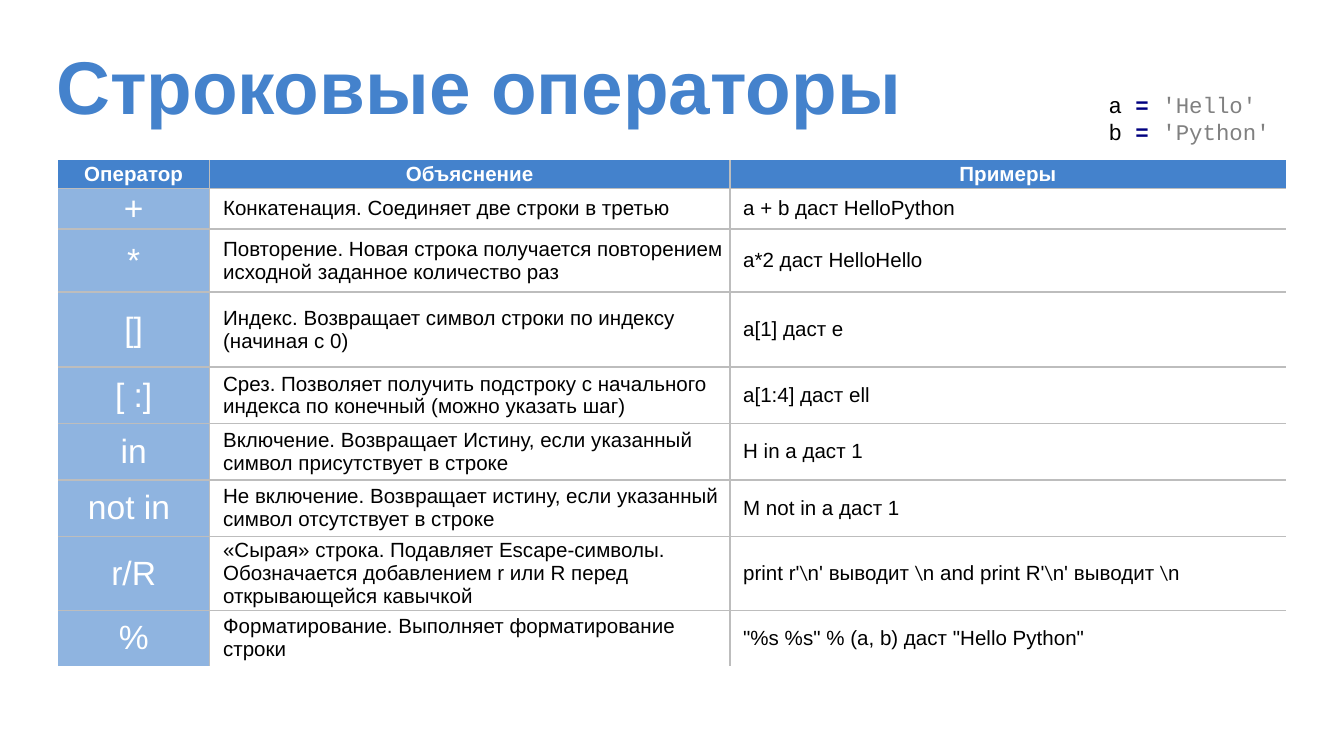
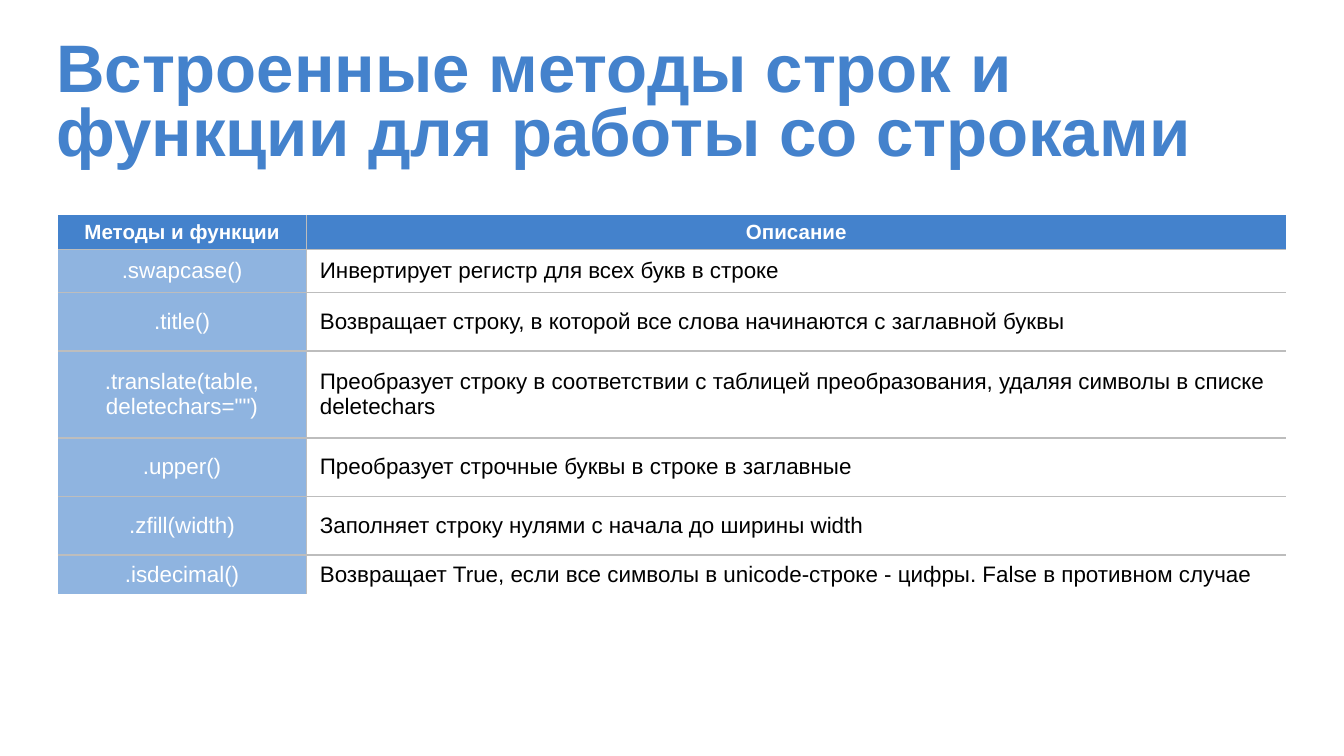
from lxml import etree
from pptx import Presentation
from pptx.dml.color import RGBColor
from pptx.enum.text import MSO_ANCHOR, MSO_AUTO_SIZE, PP_ALIGN
from pptx.oxml.ns import qn
from pptx.util import Inches, Pt

MIDDLE, TOP = MSO_ANCHOR.MIDDLE, MSO_ANCHOR.TOP
CENTER, LEFT = PP_ALIGN.CENTER, PP_ALIGN.LEFT
FIT_SHAPE = MSO_AUTO_SIZE.SHAPE_TO_FIT_TEXT

SLIDE_WIDTH = Inches(10)
SLIDE_HEIGHT = SLIDE_WIDTH * 9 // 16
BLUE, PALE_BLUE, WHITE, BLACK = "4482CC", "8FB4E0", "FFFFFF", "000000"
GRID_GRAY, NAVY, CODE_GRAY = "BDBDBD", "000080", "808080"
BODY_FONT, CODE_FONT, BACKSLASH_FONT = "Arial", "Courier New", "Calibri"
TEXT_INDENT = Inches(0.09)

OPERATORS = [
    ("Оператор", "Объяснение", "Примеры"),
    ("+", "Конкатенация. Соединяет две строки в третью", "a + b даст HelloPython"),
    ("*", "Повторение. Новая строка получается повторением исходной заданное количество раз",
     "a*2 даст HelloHello"),
    ("[]", "Индекс. Возвращает символ строки по индексу (начиная с 0)", "a[1] даст e"),
    ("[ :]", "Срез. Позволяет получить подстроку с начального индекса по конечный (можно указать шаг)",
     "a[1:4] даст ell"),
    ("in", "Включение. Возвращает Истину, если указанный символ присутствует в строке",
     "H in a даст 1"),
    ("not in ", "Не включение. Возвращает истину, если указанный символ отсутствует в строке",
     "M not in a даст 1"),
    ("r/R", "«Сырая» строка. Подавляет Escape-символы. Обозначается добавлением r или R перед "
     "открывающейся кавычкой", r"print r'\n' выводит \n and print R'\n' выводит \n"),
    ("%", "Форматирование. Выполняет форматирование строки",
     '"%s %s" % (a, b) даст "Hello Python"'),
]

METHODS = [
    ("Методы и функции", "Описание"),
    (".swapcase()", "Инвертирует регистр для всех букв в строке"),
    (".title()", "Возвращает строку, в которой все слова начинаются с заглавной буквы"),
    ('.translate(table, deletechars="")',
     "Преобразует строку в соответствии с таблицей преобразования, удаляя символы в списке deletechars"),
    (".upper()", "Преобразует строчные буквы в строке в заглавные"),
    (".zfill(width)", "Заполняет строку нулями с начала до ширины width"),
    (".isdecimal()",
     "Возвращает True, если все символы в unicode-строке - цифры. False в противном случае"),
]


def rgb(hex_color):
    return RGBColor.from_string(hex_color)


def percent_box(left, top, width, height):
    return (int(SLIDE_WIDTH * left / 100), int(SLIDE_HEIGHT * top / 100),
            int(SLIDE_WIDTH * width / 100), int(SLIDE_HEIGHT * height / 100))


def write_text(frame, lines, align=LEFT, spacing=None, indent=0, **style):
    for number, line in enumerate(lines):
        paragraph = frame.add_paragraph() if number else frame.paragraphs[0]
        paragraph.alignment = align
        if spacing:
            paragraph.line_spacing = spacing
        if indent:
            paragraph._p.get_or_add_pPr().set("marL", str(indent))
        for text, changes in line:
            look = {"font": BODY_FONT, "bold": False, **style, **changes}
            run = paragraph.add_run()
            run.text = text
            run.font.name = look["font"]
            run.font.size = Pt(look["size"])
            run.font.bold = look["bold"]
            run.font.color.rgb = rgb(look["color"])


def split_backslashes(text):
    parts = text.replace("\\", "|\\|").split("|")
    return [(part, {"font": BACKSLASH_FONT} if part == "\\" else {}) for part in parts]


def add_title(slide, box, text, size, anchor=MIDDLE, bottom_inset=0.1, spacing=None):
    frame = slide.shapes.add_textbox(*box).text_frame
    frame.word_wrap = True
    frame.vertical_anchor = anchor
    frame.margin_left = frame.margin_right = frame.margin_top = Inches(0.1)
    frame.margin_bottom = Inches(bottom_inset)
    write_text(frame, [[(text, {})]], size=size, color=BLUE, bold=True, spacing=spacing)


def add_code(slide, box, assignments):
    frame = slide.shapes.add_textbox(*box).text_frame
    frame.word_wrap = False
    frame.auto_size = FIT_SHAPE
    lines = [[(f"{name} ", {}), ("= ", {"color": NAVY, "bold": True}),
              (value, {"color": CODE_GRAY})] for name, value in assignments]
    write_text(frame, lines, font=CODE_FONT, size=12, color=BLACK)


def set_borders(cell, visible_sides):
    properties = cell._tc.get_or_add_tcPr()
    for side in "LRTB":
        line = etree.SubElement(properties, qn(f"a:ln{side}"), w=str(Pt(1)))
        if side in visible_sides:
            fill = etree.SubElement(line, qn("a:solidFill"))
            etree.SubElement(fill, qn("a:srgbClr"), val=GRID_GRAY)
        else:
            etree.SubElement(line, qn("a:noFill"))


def fill_cell(cell, text, side_inset, edge_inset, fill, **style):
    cell.margin_left = cell.margin_right = Inches(side_inset)
    cell.margin_top = cell.margin_bottom = Inches(edge_inset)
    cell.vertical_anchor = MIDDLE
    cell.fill.solid()
    cell.fill.fore_color.rgb = rgb(fill)
    write_text(cell.text_frame, [split_backslashes(text)], **style)


def add_reference(slide, box, rows, column_shares, row_shares, key_size, text_size, edge_inset=0):
    width, height = box[2:]
    last_row, last_column = len(rows) - 1, len(column_shares) - 1
    table = slide.shapes.add_table(len(rows), len(column_shares), *box).table
    table.horz_banding = False
    for column, share in zip(table.columns, column_shares):
        column.width = int(width * share / sum(column_shares))
    for row, share in zip(table.rows, row_shares):
        row.height = int(height * share / sum(row_shares))

    for r, texts in enumerate(rows):
        for c, text in enumerate(texts):
            cell = table.cell(r, c)
            inner = {"L": c > 0, "R": c < last_column, "T": r > 0, "B": r < last_row}
            set_borders(cell, [side for side, shown in inner.items() if shown])
            if r == 0:
                fill_cell(cell, text, 0.07, 0, BLUE, align=CENTER, size=11,
                          color=WHITE, bold=True)
            elif c == 0:
                fill_cell(cell, text, 0.01, edge_inset, PALE_BLUE, align=CENTER,
                          size=key_size, color=WHITE)
            else:
                fill_cell(cell, text, 0.01, edge_inset, WHITE, indent=TEXT_INDENT,
                          size=text_size, color=BLACK)


def build_operators(slide):
    add_title(slide, percent_box(3.2, 3.56, 89, 13.51), "Строковые операторы", 40, anchor=TOP)
    add_reference(slide, percent_box(4.3, 21.2, 91.4, 64.18), OPERATORS,
                  (113, 387, 414), (21, 28, 47, 56, 42, 42, 42, 42, 41),
                  key_size=18, text_size=11)
    add_code(slide, percent_box(81.5, 11.2, 14.2, 8.89),
             [("a", "'Hello'"), ("b", "'Python'")])


def build_methods(slide):
    add_reference(slide, percent_box(4.3, 28.44, 91.4, 50.13), METHODS,
                  (185, 729), (26, 32, 44, 65, 44, 44, 29),
                  key_size=12, text_size=12, edge_inset=0.01)
    add_title(slide, percent_box(3.2, 3.56, 93, 21.87),
              "Встроенные методы строк и функции для работы со строками", 36,
              bottom_inset=0.17, spacing=0.8)


def main():
    deck = Presentation()
    deck.slide_width, deck.slide_height = SLIDE_WIDTH, SLIDE_HEIGHT
    blank = deck.slide_layouts[6]
    for build in (build_operators, build_methods):
        build(deck.slides.add_slide(blank))
    deck.save("out.pptx")


if __name__ == "__main__":
    main()
